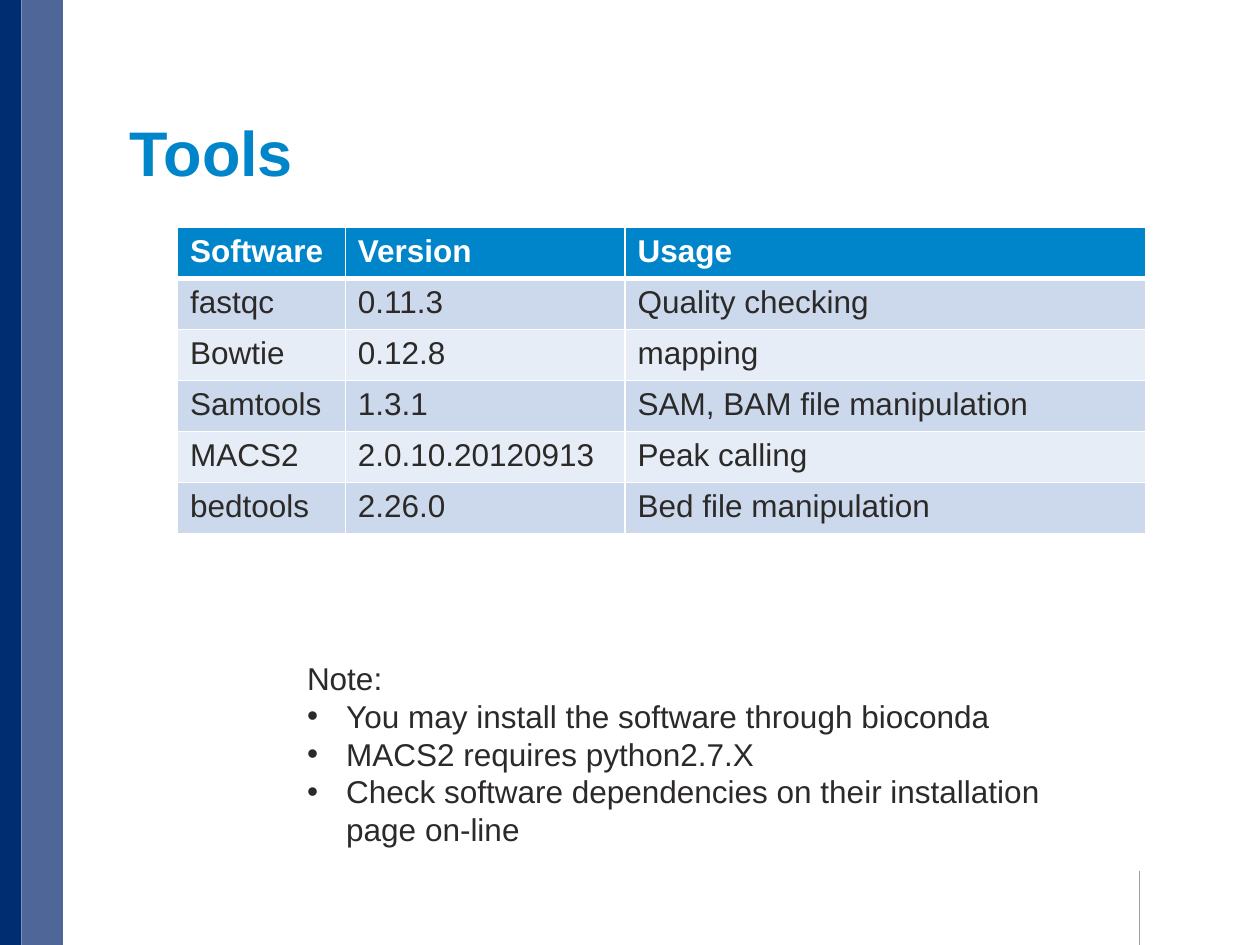
from pptx import Presentation
from pptx.dml.color import RGBColor
from pptx.enum.shapes import MSO_CONNECTOR, MSO_SHAPE
from pptx.enum.text import MSO_ANCHOR
from pptx.oxml import parse_xml
from pptx.oxml.ns import nsdecls
from pptx.util import Cm, Pt

RECTANGLE = MSO_SHAPE.RECTANGLE
STRAIGHT = MSO_CONNECTOR.STRAIGHT
TOP, BOTTOM = MSO_ANCHOR.TOP, MSO_ANCHOR.BOTTOM

NAVY, SLATE, BLUE = "002D72", "4F6698", "0085CA"
INK, WHITE, GREY = "2C2A29", "FFFFFF", "A0A0A0"
BANDS = ("E7EDF6", "CCD9EC")


def color(value):
    return RGBColor.from_string(value)


def lengths(*values):
    return [Cm(value) for value in values]


class SlideBuilder:
    font = "Arial"
    body = {"size": Pt(18), "bold": False}
    heading = {"size": Pt(18), "bold": True}
    title = {"size": Pt(36), "bold": True}

    def __init__(self, page):
        self.page = page

    def add_span(self, para, text, ink, style):
        span = para.add_run()
        span.text = text
        for name, value in {"name": self.font, **style}.items():
            setattr(span.font, name, value)
        span.font.color.rgb = color(ink)

    def bar(self, left, top, width, height, fill):
        shape = self.page.shapes.add_shape(RECTANGLE, *lengths(left, top, width, height))
        shape.shadow.inherit = False
        shape.fill.solid()
        shape.fill.fore_color.rgb = color(fill)
        shape.line.fill.background()

    def rule(self, start, end, ink, weight):
        line = self.page.shapes.add_connector(STRAIGHT, *lengths(*start, *end))
        line.line.color.rgb = color(ink)
        line.line.width = Pt(weight)
        line._element.spPr.append(parse_xml(f"<a:effectLst {nsdecls('a')}/>"))

    def text(self, place, lines, ink, style, **layout):
        box = self.page.shapes.add_textbox(*lengths(*place))
        frame = box.text_frame
        for name, value in {"word_wrap": True, **layout}.items():
            setattr(frame, name, value)
        for index, (line, bulleted) in enumerate(lines):
            para = frame.paragraphs[0] if index == 0 else frame.add_paragraph()
            self.add_span(para, line, ink, style)
            if bulleted:
                self.bullet(para)

    def bullet(self, para):
        properties = para._p.get_or_add_pPr()
        indent = Cm(0.79)
        properties.set("marL", str(indent))
        properties.set("indent", str(-indent))
        properties.append(parse_xml(f'<a:buFont {nsdecls("a")} typeface="{self.font}"/>'))
        properties.append(parse_xml(f'<a:buChar {nsdecls("a")} char="•"/>'))

    def border(self, cell, header, below_header):
        weights = {"L": 1, "R": 1, "T": 3 if below_header else 1, "B": 3 if header else 1}
        properties = cell._tc.get_or_add_tcPr()
        for index, (side, weight) in enumerate(weights.items()):
            properties.insert(index, parse_xml(
                f'<a:ln{side} {nsdecls("a")} w="{Pt(weight)}"><a:solidFill>'
                f'<a:srgbClr val="{WHITE}"/></a:solidFill></a:ln{side}>'))

    def table(self, left, top, widths, row_height, rows):
        place = lengths(left, top, sum(widths), row_height * len(rows))
        grid = self.page.shapes.add_table(len(rows), len(widths), *place).table
        for column, width in zip(grid.columns, widths):
            column.width = Cm(width)
        for r, values in enumerate(rows):
            grid.rows[r].height = Cm(row_height)
            header = r == 0
            ink, style = (WHITE, self.heading) if header else (INK, self.body)
            for c, value in enumerate(values):
                cell = grid.cell(r, c)
                cell.vertical_anchor = TOP
                cell.fill.solid()
                cell.fill.fore_color.rgb = color(BLUE if header else BANDS[r % 2])
                self.border(cell, header, r == 1)
                self.add_span(cell.text_frame.paragraphs[0], value, ink, style)


TOOLS = [
    ("Software", "Version", "Usage"),
    ("fastqc", "0.11.3", "Quality checking"),
    ("Bowtie", "0.12.8", "mapping"),
    ("Samtools", "1.3.1", "SAM, BAM file manipulation"),
    ("MACS2", "2.0.10.20120913", "Peak calling"),
    ("bedtools", "2.26.0", "Bed file manipulation"),
]
NOTES = [
    ("Note:", False),
    ("You may install the software through bioconda", True),
    ("MACS2 requires python2.7.X", True),
    ("Check software dependencies on their installation page on-line", True),
]

deck = Presentation()
deck.slide_width, deck.slide_height = lengths(25.4, 19.05)
slide = SlideBuilder(deck.slides.add_slide(deck.slide_layouts[6]))

slide.rule((22.96, 17.55), (22.96, 19.05), GREY, 0.25)
slide.bar(0, 0, 0.43, 19.05, NAVY)
slide.bar(0.43, 0, 0.84, 19.05, SLATE)
slide.text((2.62, 0.76, 21.9, 3.18), [("Tools", False)], BLUE, slide.title,
           vertical_anchor=BOTTOM, margin_left=0)
slide.table(3.58, 4.58, (3.38, 5.64, 10.49), 1.03, TOOLS)
slide.text((5.94, 13.16, 15.57, 4.11), NOTES, INK, slide.body)

deck.save("out.pptx")
